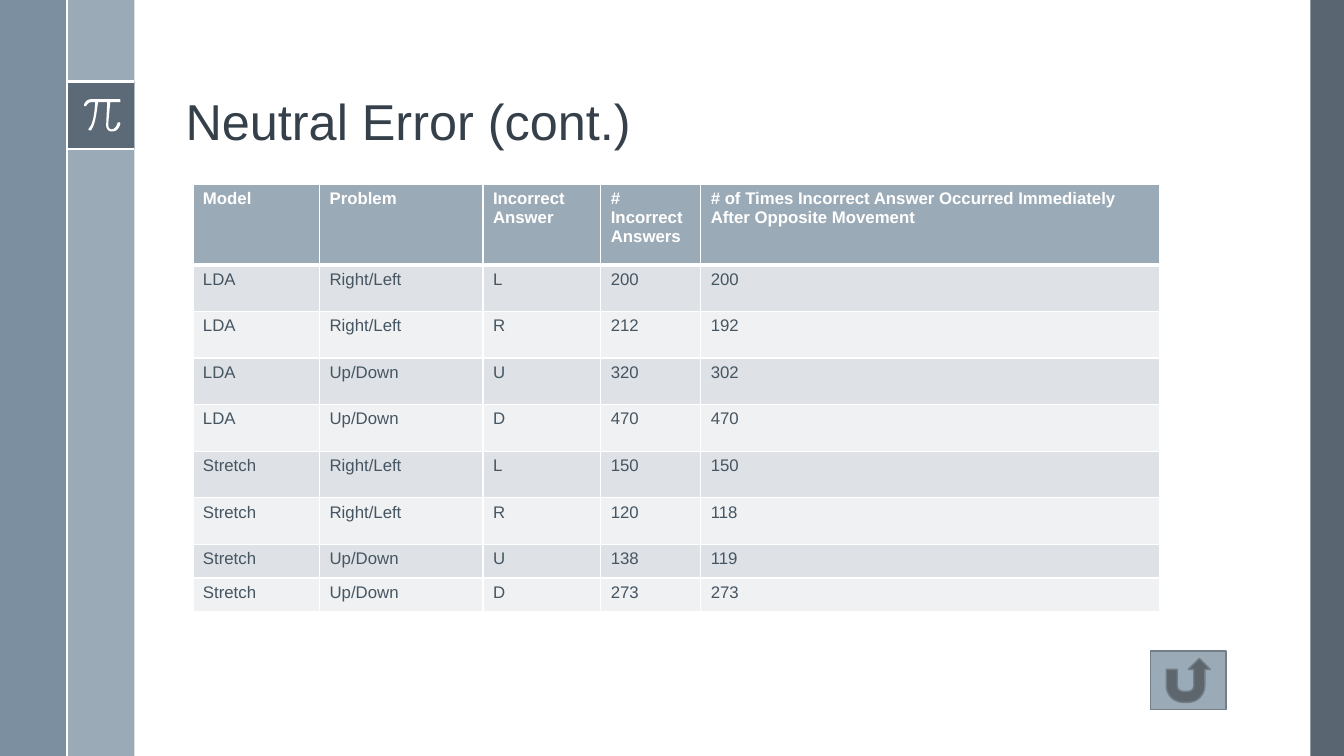
import pptx
import pptx.dml.color
import pptx.enum.shapes
import pptx.enum.text
import pptx.oxml.ns
import pptx.util
from lxml import etree

Pt = pptx.util.Pt
MSO_SHAPE = pptx.enum.shapes.MSO_SHAPE
FONT = "Arial"
COLORS = {
    "white": "FFFFFF", "slate": "475562", "mist": "9BAAB7", "steel": "6A8093",
    "title": "35404A", "body": "465562", "button_line": "737E87",
    "band_dark": "DEE2E6", "band_light": "EFF1F3",
}
COLUMN_WIDTHS = [90.5, 116.7, 84.2, 71.4, 327.6]
ROW_HEIGHTS = [57.4] + [33.3] * 6 + [24] * 2
TABLE_ROWS = [
    ["Model", "Problem", "Incorrect Answer", "# Incorrect Answers",
     "# of Times Incorrect Answer Occurred Immediately After Opposite Movement"],
    ["LDA", "Right/Left", "L", "200", "200"],
    ["LDA", "Right/Left", "R", "212", "192"],
    ["LDA", "Up/Down", "U", "320", "302"],
    ["LDA", "Up/Down", "D", "470", "470"],
    ["Stretch", "Right/Left", "L", "150", "150"],
    ["Stretch", "Right/Left", "R", "120", "118"],
    ["Stretch", "Up/Down", "U", "138", "119"],
    ["Stretch", "Up/Down", "D", "273", "273"],
]
PI_SIZE = (36, 32)
PI_START = (35, 0)
PI_SEGMENTS = [
    [(7, 0)], [(2, 0), (0, 5), (0, 6)], [(0, 6), (0, 7), (1, 7)], [(2, 7)],
    [(2, 7), (4, 3), (7, 3)], [(11, 3)], [(11, 7), (10, 24), (5, 29)],
    [(4, 30), (4, 30), (5, 31)], [(5, 31), (6, 31), (6, 31)],
    [(6, 31), (7, 31), (7, 31)], [(12, 25), (13, 7), (14, 3)], [(23, 3)],
    [(22, 24)], [(22, 24), (21, 28), (24, 31)], [(25, 32), (26, 32), (27, 32)],
    [(28, 32), (28, 32), (29, 32)], [(34, 32), (36, 25), (36, 24)],
    [(36, 24), (35, 23), (35, 23)], [(34, 23), (33, 23), (33, 24)],
    [(33, 24), (32, 29), (28, 30)], [(27, 30), (26, 30), (25, 29)],
    [(24, 28), (24, 25), (24, 24)], [(26, 3)], [(35, 3)],
    [(36, 3), (36, 3), (36, 2)], [(36, 1), (36, 0), (35, 0)],
]


def rgb(name):
    """Return the named colour."""
    return pptx.dml.color.RGBColor.from_string(COLORS[name])


def add_child(parent, tag, **attributes):
    """Append a DrawingML element to a parent element."""
    return etree.SubElement(parent, pptx.oxml.ns.qn(f"a:{tag}"), **attributes)


def style_shape(shape, color, opacity=100):
    """Give a shape a plain fill, without line or shadow."""
    shape.shadow.inherit = False
    shape.fill.solid()
    shape.fill.fore_color.rgb = rgb(color)
    shape.line.fill.background()
    if opacity < 100:
        fill_color = shape.fill._xPr.find(".//" + pptx.oxml.ns.qn("a:srgbClr"))
        add_child(fill_color, "alpha", val=str(opacity * 1000))


def add_bar(slide, left, top, width, height, color, opacity=100):
    """Add a plain rectangle."""
    bar = slide.shapes.add_shape(
        MSO_SHAPE.RECTANGLE, Pt(left), Pt(top), Pt(width), Pt(height))
    style_shape(bar, color, opacity)


def add_rule(slide, start_x, start_y, end_x, end_y):
    """Add a thin white line."""
    rule = slide.shapes.add_connector(
        pptx.enum.shapes.MSO_CONNECTOR.STRAIGHT,
        Pt(start_x), Pt(start_y), Pt(end_x), Pt(end_y))
    rule.line.color.rgb = rgb("white")
    rule.line.width = Pt(1.5)
    add_child(rule._element.spPr, "effectLst")


def curve_points(start, controls, steps=6):
    """Return points along a cubic curve, or the end of a straight segment."""
    if len(controls) == 1:
        return controls
    nodes = [start] + controls
    points = []
    for step in range(1, steps + 1):
        t = step / steps
        weights = [(1 - t) ** 3, 3 * t * (1 - t) ** 2, 3 * t * t * (1 - t), t ** 3]
        points.append(tuple(
            sum(weight * node[axis] for weight, node in zip(weights, nodes))
            for axis in (0, 1)))
    return points


def add_pi(slide, left, top, width, height):
    """Draw the pi symbol as a filled outline."""
    def place(point):
        """Scale a symbol point into the box."""
        return (Pt(left + point[0] * width / PI_SIZE[0]),
                Pt(top + point[1] * height / PI_SIZE[1]))

    outline = []
    current = PI_START
    for controls in PI_SEGMENTS:
        outline += curve_points(current, controls)
        current = controls[-1]
    builder = slide.shapes.build_freeform(*place(PI_START))
    builder.add_line_segments([place(point) for point in outline], close=True)
    style_shape(builder.convert_to_shape(), "white")


def add_side_bars(slide, width, height):
    """Add the right edge, the two left bars and the pi tile."""
    bar, tile_top = 48, 58.2
    add_bar(slide, width - 24, 0, 24, height, "slate", 90)
    add_bar(slide, bar, 0, bar, height, "mist")
    add_bar(slide, 0, 0, bar, height, "steel", 88)
    add_bar(slide, bar, tile_top, bar, bar, "slate", 75)
    for rule_top in (tile_top, tile_top + bar):
        add_rule(slide, bar, rule_top, 2 * bar, rule_top)
    add_pi(slide, bar + 12, tile_top + 12.6, 26, 23)
    add_rule(slide, bar, 0, bar, height)


def add_title(slide, left, top, width, height):
    """Add the slide title at the bottom of its box."""
    box = slide.shapes.add_textbox(Pt(left), Pt(top), Pt(width), Pt(height))
    frame = box.text_frame
    frame.word_wrap = True
    frame.vertical_anchor = pptx.enum.text.MSO_ANCHOR.BOTTOM
    frame.text = "Neutral Error (cont.)"
    paragraph = frame.paragraphs[0]
    paragraph.line_spacing = 0.9
    font = paragraph.runs[0].font
    font.name, font.size, font.color.rgb = FONT, Pt(36), rgb("title")


def style_cell(cell, row_index):
    """Set the borders, fill and font of a table cell."""
    header = row_index == 0
    widths = {"lnL": 1, "lnR": 1, "lnT": 3 if row_index == 1 else 1,
              "lnB": 3 if header else 1}
    properties = cell._tc.get_or_add_tcPr()
    for side, width in widths.items():
        border = add_child(properties, side, w=str(Pt(width)))
        add_child(add_child(border, "solidFill"), "srgbClr", val=COLORS["white"])
    band = "band_dark" if row_index % 2 else "band_light"
    cell.fill.solid()
    cell.fill.fore_color.rgb = rgb("mist" if header else band)
    font = cell.text_frame.paragraphs[0].runs[0].font
    font.name, font.size, font.bold = FONT, Pt(12), header
    font.color.rgb = rgb("white" if header else "body")


def add_error_table(slide, left, top):
    """Add the table of neutral errors."""
    table = slide.shapes.add_table(
        len(TABLE_ROWS), len(COLUMN_WIDTHS), Pt(left), Pt(top),
        Pt(sum(COLUMN_WIDTHS)), Pt(sum(ROW_HEIGHTS))).table
    for column, width in zip(table.columns, COLUMN_WIDTHS):
        column.width = Pt(width)
    for row_index, values in enumerate(TABLE_ROWS):
        table.rows[row_index].height = Pt(ROW_HEIGHTS[row_index])
        for column_index, value in enumerate(values):
            cell = table.cell(row_index, column_index)
            cell.text_frame.text = value
            style_cell(cell, row_index)


def add_return_button(slide, left, top, width, height):
    """Add the return button."""
    button = slide.shapes.add_shape(
        MSO_SHAPE.ACTION_BUTTON_RETURN, Pt(left), Pt(top), Pt(width), Pt(height))
    style_shape(button, "mist")
    button.line.color.rgb = rgb("button_line")
    button.line.width = Pt(1)


def main():
    """Build and save the slide."""
    width, height = 960, 540
    presentation = pptx.Presentation()
    presentation.slide_width, presentation.slide_height = Pt(width), Pt(height)
    slide = presentation.slides.add_slide(presentation.slide_layouts[6])
    add_side_bars(slide, width, height)
    add_title(slide, 125.5, 13.5, 770, 98)
    add_return_button(slide, 821.8, 465, 54, 42)
    add_error_table(slide, 137.8, 131.8)
    presentation.save("out.pptx")


if __name__ == "__main__":
    main()
